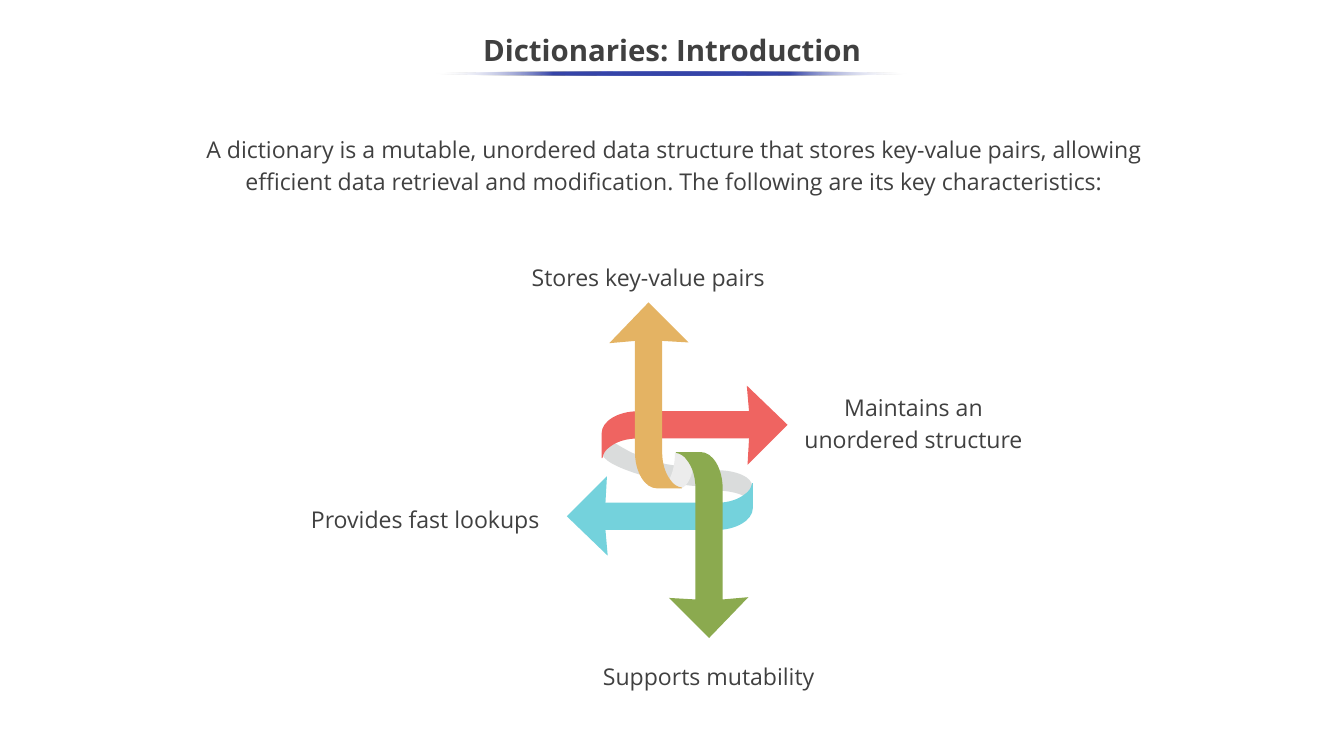
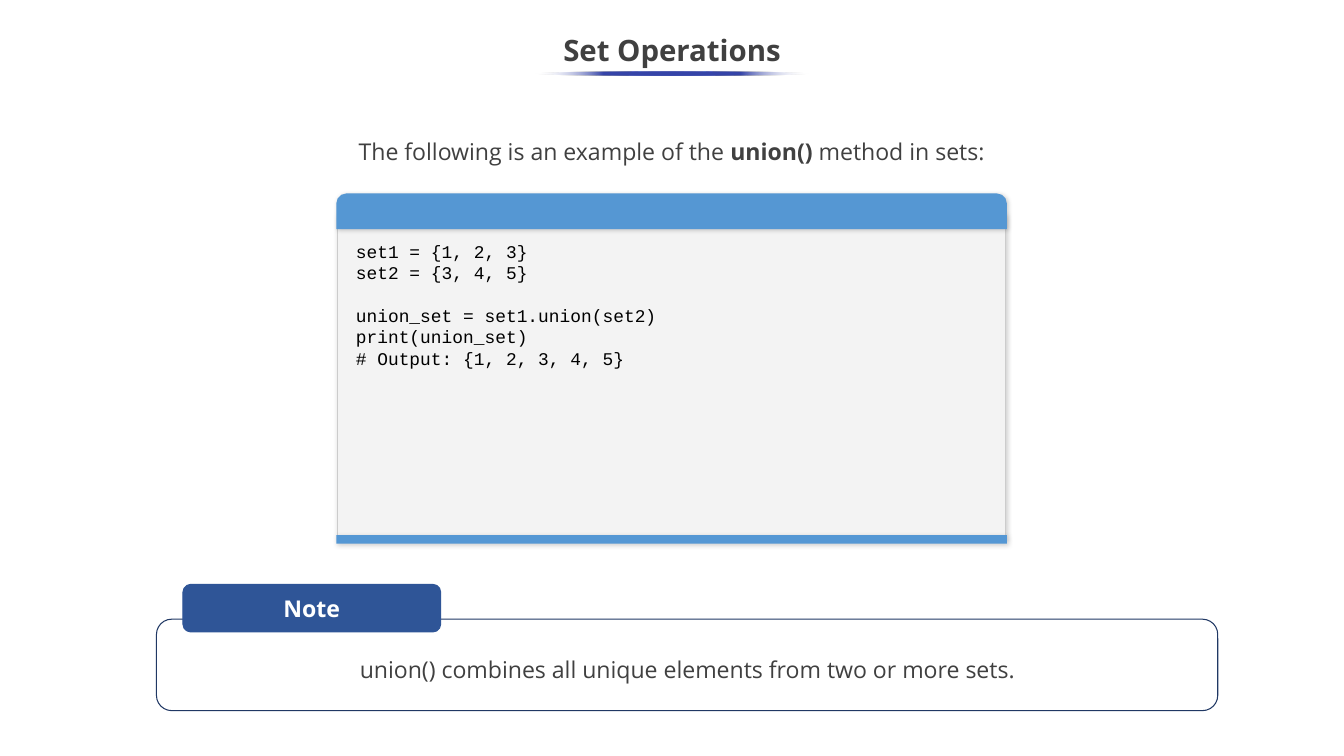
from lxml.etree import SubElement
from pptx import Presentation
from pptx.dml.color import RGBColor
from pptx.enum.shapes import MSO_SHAPE
from pptx.enum.text import MSO_ANCHOR, PP_ALIGN
from pptx.oxml.ns import qn
from pptx.util import Pt

PX = 9144
WIDTH, HEIGHT = 1778, 1000
FONT, CODE_FONT = "Open Sans", "Courier New"
COLORS = {
    "text": "404040", "white": "FFFFFF", "black": "000000", "underline": "3645A9",
    "red": "EF6461", "orange": "E4B363", "blue": "74D2DC", "green": "8BAA4F",
    "fold": "DADCDC", "light_fold": "ECECEC",
    "note": "2F5597", "note_border": "203864",
    "code": "F3F3F3", "code_border": "CCCCCC", "code_foot": "5497D4", "code_head": "5597D3",
}

ARROW = [
    (988, 510), (991, 544), (844, 544), (818, 544, 796, 557, 796, 573),
    (796, 606), (797, 606), (798, 600, 801, 595, 807, 591),
    (816, 584, 829, 580, 844, 580), (991, 580), (989, 615), (1042, 562),
]
TURNS = {
    "red": lambda x, y: (x, y),
    "orange": lambda x, y: (y + 296, 1442 - x),
    "blue": lambda x, y: (1792 - x, 1245 - y),
    "green": lambda x, y: (1500 - y, x - 198),
}
LEFT_FOLD = [(797, 602), (806, 622, 897, 643, 923, 643), (923, 617),
             (909, 617, 863, 620, 809, 583), (803, 587, 795, 598, 797, 602)]
MIDDLE_FOLD = [(899, 646), (910, 646, 919, 625, 919, 599), (893, 599),
               (893, 613, 890, 626, 885, 635), (889, 642, 894, 646, 899, 646)]
RIGHT_FOLD = [(995, 643), (995, 631, 974, 622, 948, 622), (948, 649),
              (963, 649, 976, 652, 984, 656), (991, 653, 995, 648, 995, 643)]

CHARACTERISTICS = [
    ("Stores key-value pairs", (668, 338, 379, 53)),
    ("Maintains an unordered structure", (1042, 510, 333, 95)),
    ("Supports mutability", (771, 866, 333, 53)),
    ("Provides fast lookups", (373, 658, 379, 53)),
]
CODE = """set1 = {1, 2, 3}
set2 = {3, 4, 5}

union_set = set1.union(set2)
print(union_set)
# Output: {1, 2, 3, 4, 5}"""


def rgb(name):
    return RGBColor.from_string(COLORS[name])


def emu(box):
    return [v * PX for v in box]


def paint(s, fill=None, line=None, weight=1):
    s.shadow.inherit = False
    if fill:
        s.fill.solid()
        s.fill.fore_color.rgb = rgb(fill)
    else:
        s.fill.background()
    if line:
        s.line.color.rgb = rgb(line)
        s.line.width = Pt(weight)
    else:
        s.line.fill.background()


def add_color(parent, name, alpha=100):
    color = SubElement(parent, qn("a:srgbClr"), val=COLORS[name])
    if alpha < 100:
        SubElement(color, qn("a:alpha"), val=str(alpha * 1000))


def add_preset(slide, kind, box, fill=None, line=None, weight=1):
    s = slide.shapes.add_shape(kind, *emu(box))
    paint(s, fill, line, weight)
    return s


def add_shadow(s):
    effects = s._element.spPr.find(qn("a:effectLst"))
    shadow = SubElement(effects, qn("a:outerShdw"), blurRad=str(Pt(4.5)), dist=str(Pt(1.5)),
                        dir=str(47 * 60000), algn="bl", rotWithShape="0")
    add_color(shadow, "black", 20)


def format_text(p, size=22, color="text", font=FONT, bold=False):
    for r in p.runs:
        r.font.size = Pt(size)
        r.font.name = font
        r.font.bold = bold
        r.font.color.rgb = rgb(color)


def add_frame(slide, box, inset, anchor=MSO_ANCHOR.TOP):
    tf = slide.shapes.add_textbox(*emu(box)).text_frame
    tf.word_wrap = True
    tf.vertical_anchor = anchor
    tf.margin_left = tf.margin_right = 10 * PX
    tf.margin_top = tf.margin_bottom = inset * PX
    return tf


def add_label(slide, text, box, inset=5, anchor=MSO_ANCHOR.TOP, size=22, bold=False):
    p = add_frame(slide, box, inset, anchor).paragraphs[0]
    p.text = text
    p.alignment = PP_ALIGN.CENTER
    p.line_spacing = 1.15
    format_text(p, size, bold=bold)
    return p


def add_title(slide, text, underline_width):
    add_label(slide, text, (-1, 25, 1780, 75), anchor=MSO_ANCHOR.MIDDLE, size=28, bold=True)
    left = (WIDTH - underline_width) // 2
    s = add_preset(slide, MSO_SHAPE.OVAL, (left, 95, underline_width, 5))
    s.fill.gradient()
    s.fill.gradient_angle = 180
    stops = s._element.spPr.find(qn("a:gradFill")).find(qn("a:gsLst"))
    for stop in list(stops):
        stops.remove(stop)
    for pos in range(0, 101, 25):
        stop = SubElement(stops, qn("a:gs"), pos=str(pos * 1000))
        if pos in (0, 100):
            add_color(stop, "white", 0)
        else:
            add_color(stop, "underline")


def add_outline(slide, outline, fill, turn=TURNS["red"]):
    steps = [[emu(turn(*step[i:i + 2])) for i in range(0, len(step), 2)] for step in outline]
    ends = [step[-1] for step in steps]
    builder = slide.shapes.build_freeform(*ends[0], scale=1.0)
    builder.add_line_segments(ends[1:], close=True)
    s = builder.convert_to_shape()
    paint(s, fill)
    segments = list(s._element.spPr.iter(qn("a:lnTo")))
    for segment, step in zip(segments, steps[1:]):
        if len(step) == 3:
            curve = segment.makeelement(qn("a:cubicBezTo"))
            for x, y in step:
                SubElement(curve, qn("a:pt"), x=str(x - s.left), y=str(y - s.top))
            segment.getparent().replace(segment, curve)


def add_code_window(slide, code):
    body = add_preset(slide, MSO_SHAPE.RECTANGLE, (447, 284, 883, 424), "code", "code_border", 0.75)
    foot = add_preset(slide, MSO_SHAPE.RECTANGLE, (445, 708, 887, 11), "code_foot")
    head = add_preset(slide, MSO_SHAPE.ROUND_2_SAME_RECTANGLE, (445, 256, 887, 47), "code_head")
    head.adjustments[0] = 0.275
    head.adjustments[1] = 0
    for s in (body, foot, head):
        add_shadow(s)
    tf = add_frame(slide, (461, 308, 820, 345), 10)
    tf.text = code
    for p in tf.paragraphs:
        format_text(p, 17, "black", CODE_FONT)
        if not p.runs:
            end = SubElement(p._p, qn("a:endParaRPr"), sz="1700")
            SubElement(end, qn("a:latin"), typeface=CODE_FONT)


def add_note(slide, text):
    add_preset(slide, MSO_SHAPE.ROUNDED_RECTANGLE, (207, 819, 1404, 121), line="note_border")
    tab = add_preset(slide, MSO_SHAPE.ROUNDED_RECTANGLE, (242, 773, 341, 63), "note", "note")
    tf = tab.text_frame
    tf.vertical_anchor = MSO_ANCHOR.MIDDLE
    tf.text = "Note"
    p = tf.paragraphs[0]
    p.alignment = PP_ALIGN.CENTER
    format_text(p, color="white", bold=True)
    add_label(slide, text, (228, 861, 1363, 63), inset=0)


def build_dictionaries(slide):
    add_label(slide, "A dictionary is a mutable, unordered data structure that stores key-value pairs, "
              "allowing efficient data retrieval and modification. The following are its key "
              "characteristics:", (210, 174, 1363, 99), inset=0)
    add_title(slide, "Dictionaries: Introduction", 625)
    add_outline(slide, LEFT_FOLD, "fold")
    add_outline(slide, ARROW, "red", TURNS["red"])
    add_outline(slide, MIDDLE_FOLD, "light_fold")
    add_outline(slide, ARROW, "orange", TURNS["orange"])
    add_outline(slide, RIGHT_FOLD, "fold")
    for name in ("blue", "green"):
        add_outline(slide, ARROW, name, TURNS[name])
    for text, box in CHARACTERISTICS:
        add_label(slide, text, box)


def build_set_operations(slide):
    p = add_label(slide, "The following is an example of the ", (207, 148, 1363, 99),
                  inset=0, anchor=MSO_ANCHOR.MIDDLE)
    for part in ("union() ", "method in sets:"):
        p.add_run().text = part
    format_text(p)
    p.runs[1].font.bold = True
    add_title(slide, "Set Operations", 360)
    add_note(slide, "union() combines all unique elements from two or more sets.")
    add_code_window(slide, CODE)


def main():
    prs = Presentation()
    prs.slide_width, prs.slide_height = WIDTH * PX, HEIGHT * PX
    for build in (build_dictionaries, build_set_operations):
        build(prs.slides.add_slide(prs.slide_layouts[6]))
    prs.save("out.pptx")


if __name__ == "__main__":
    main()
